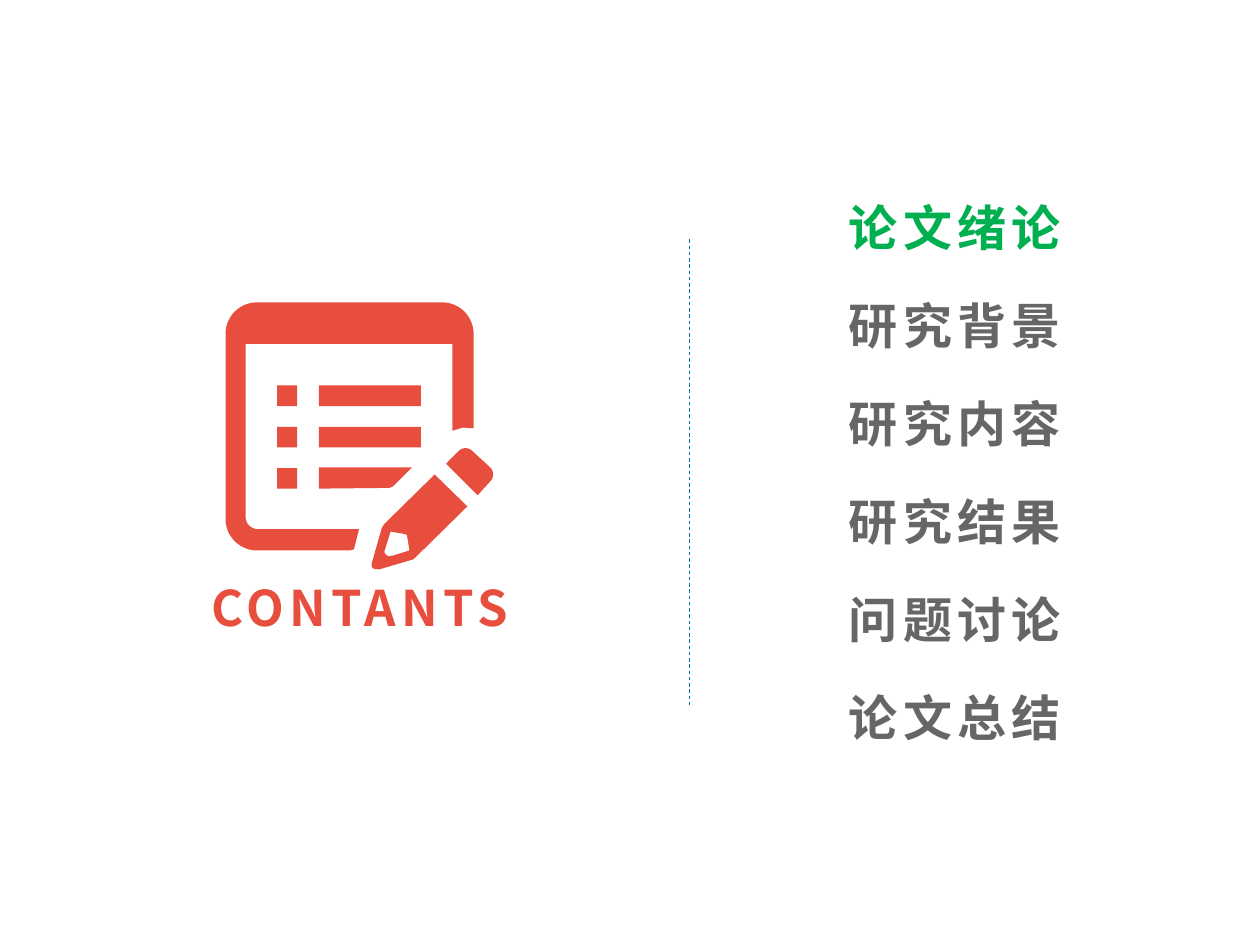
from math import cos, radians, sin
from typing import NamedTuple

from lxml import etree
from pptx import Presentation
from pptx import util as u
from pptx.dml.color import RGBColor
from pptx.enum import dml, shapes, text
from pptx.oxml.ns import qn

Pt = u.Pt
Point = tuple[float, float]
FONT = "Noto Sans CJK SC"
COLORS = {"accent": "E74E3E", "current": "00B050", "muted": "666666", "divider": "0174AB"}


class Label(NamedTuple):
    wording: str
    left: float
    top: float
    width: float
    color: str
    align: text.PP_ALIGN = text.PP_ALIGN.LEFT


class Bar(NamedTuple):
    left: float
    top: float
    width: float
    height: float = 11.8


def rgb(name: str) -> RGBColor:
    return RGBColor.from_string(COLORS[name])


def arc(x: float, y: float, radius: float, start: int, end: int) -> list[Point]:
    steps = 12
    angles = [radians(start + (end - start) * i / steps) for i in range(steps + 1)]
    return [(x + radius * cos(a), y + radius * sin(a)) for a in angles]


def paint(part) -> None:
    part.shadow.inherit = False
    part.fill.solid()
    part.fill.fore_color.rgb = rgb("accent")
    part.line.fill.background()


def draw_outline(icon, *contours: list[Point]) -> None:
    builder = None
    for contour in contours:
        start, *rest = [(Pt(x), Pt(y)) for x, y in contour]
        if builder is None:
            builder = icon.shapes.build_freeform(*start, scale=1.0)
        else:
            builder.move_to(*start)
        builder.add_line_segments(rest, close=True)
    paint(builder.convert_to_shape())


def draw_bar(icon, bar: Bar) -> None:
    paint(icon.shapes.add_shape(shapes.MSO_SHAPE.RECTANGLE, *map(Pt, bar)))


def draw_label(slide, label: Label) -> None:
    box = slide.shapes.add_textbox(Pt(label.left), Pt(label.top), Pt(label.width), Pt(41))
    frame = box.text_frame
    frame.word_wrap = True
    frame.auto_size = text.MSO_AUTO_SIZE.SHAPE_TO_FIT_TEXT
    frame.text = label.wording
    paragraph = frame.paragraphs[0]
    paragraph.alignment = label.align
    font = paragraph.runs[0].font
    font.size = Pt(28)
    font.bold = True
    font.color.rgb = rgb(label.color)
    font.name = FONT
    properties = paragraph.runs[0]._r.get_or_add_rPr()
    properties.set("spc", "300")
    etree.SubElement(properties, qn("a:ea")).set("typeface", FONT)


def draw_divider(slide) -> None:
    divider = slide.shapes.add_connector(
        shapes.MSO_CONNECTOR.STRAIGHT, Pt(394), Pt(136.8), Pt(394), Pt(403.2))
    divider.line.color.rgb = rgb("divider")
    divider.line.width = Pt(0.5)
    divider.line.dash_style = dml.MSO_LINE.DASH
    etree.SubElement(divider._element.spPr, qn("a:effectLst"))


def draw_icon(slide) -> None:
    icon = slide.shapes.add_group_shape()
    page = [
        (205.2, 302.4), (202.3, 313.9), (200.2, 314.6),
        *arc(146.9, 296.6, 18, 90, 180),
        *arc(146.9, 190.8, 18, 180, 270),
        *arc(252.7, 190.8, 18, 270, 360),
        (270.7, 244.8), (264.5, 244.4), (258.5, 246.2), (258.5, 196.6), (140.4, 196.6),
        *arc(147.4, 295.4, 7, 180, 90),
    ]
    pencil = [
        (248.4, 271.2), (267.1, 289.4), (238.5, 317.5), (236.2, 319.7), (216.7, 325.4),
        *arc(214.8, 322.8, 2.5, 75, 190), (218.2, 301.7), (219.6, 299.5),
    ]
    tip = [
        (223.2, 303.8), (219.6, 315.4), (220.3, 316.8), (222, 318), (224.6, 317.5),
        (234, 314.6), (232.6, 306), (231.8, 305.3),
    ]
    eraser = [
        (254.9, 265), *arc(266, 261.7, 5.6, 225, 315),
        *arc(276.2, 271.1, 5.6, -45, 45), (272.9, 283),
    ]
    cut_bar = [(182.2, 267.1), (235.4, 267.1), (224.6, 277.9), (222.5, 278.8), (182.2, 279.2)]

    draw_outline(icon, page)
    draw_outline(icon, pencil, tip)
    draw_outline(icon, cut_bar)
    draw_outline(icon, eraser)
    for row in range(3):
        top = 220.3 + 23.6 * row
        draw_bar(icon, Bar(158.4, top, 11.5))
        if row < 2:
            draw_bar(icon, Bar(182.2, top, 58.3))


def main() -> None:
    deck = Presentation()
    deck.slide_width, deck.slide_height = Pt(720), Pt(540)
    slide = deck.slides.add_slide(deck.slide_layouts[6])

    draw_divider(slide)
    chapters = ["论文绪论", "研究背景", "研究内容", "研究结果", "问题讨论", "论文总结"]
    for row, chapter in enumerate(chapters):
        color = "muted" if row else "current"
        draw_label(slide, Label(chapter, 478, 109.5 + 56 * row, 141.2, color))
    draw_icon(slide)
    draw_label(slide, Label("CONTANTS", 100.8, 326.2, 209.5, "accent", text.PP_ALIGN.CENTER))
    deck.save("out.pptx")


if __name__ == "__main__":
    main()
